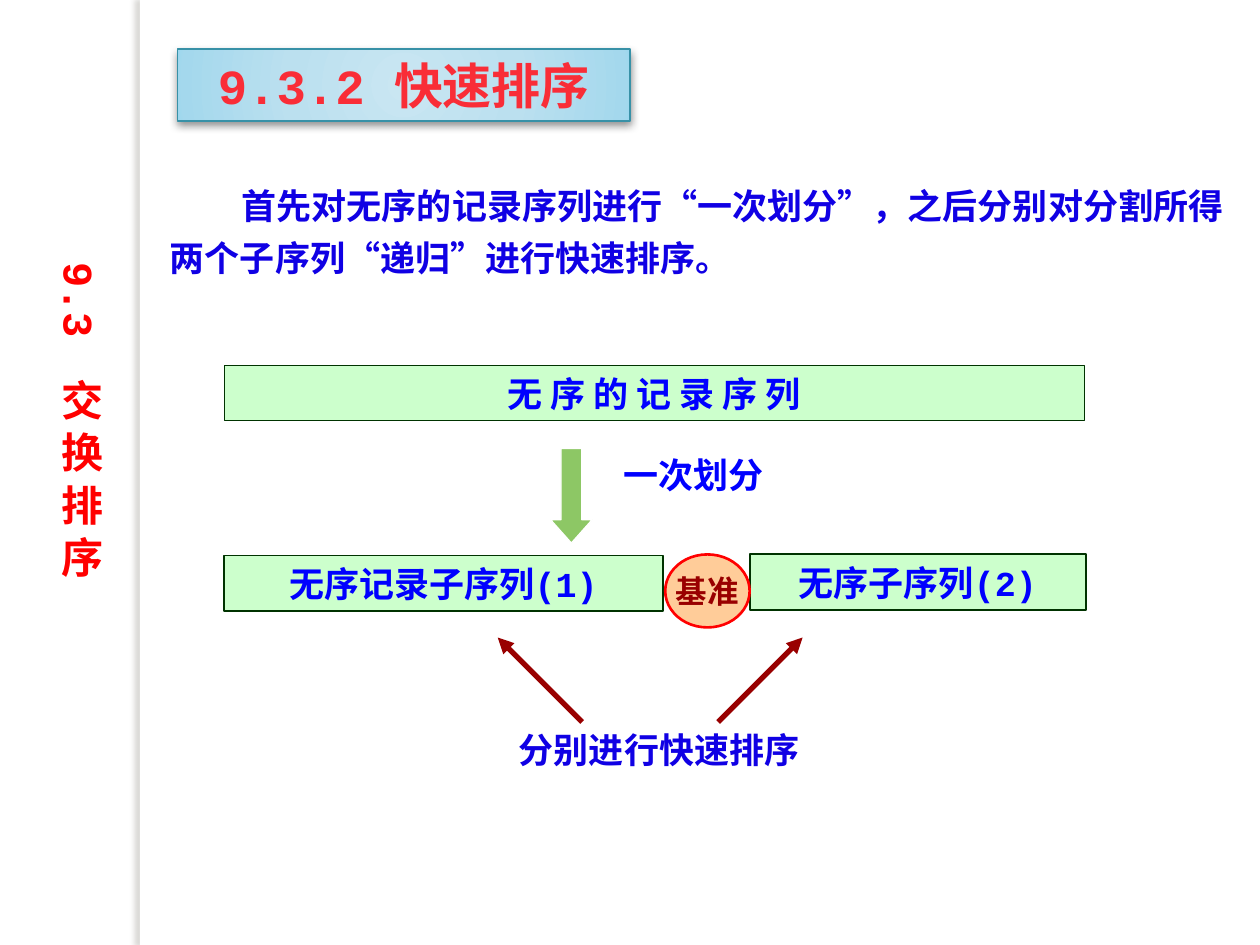
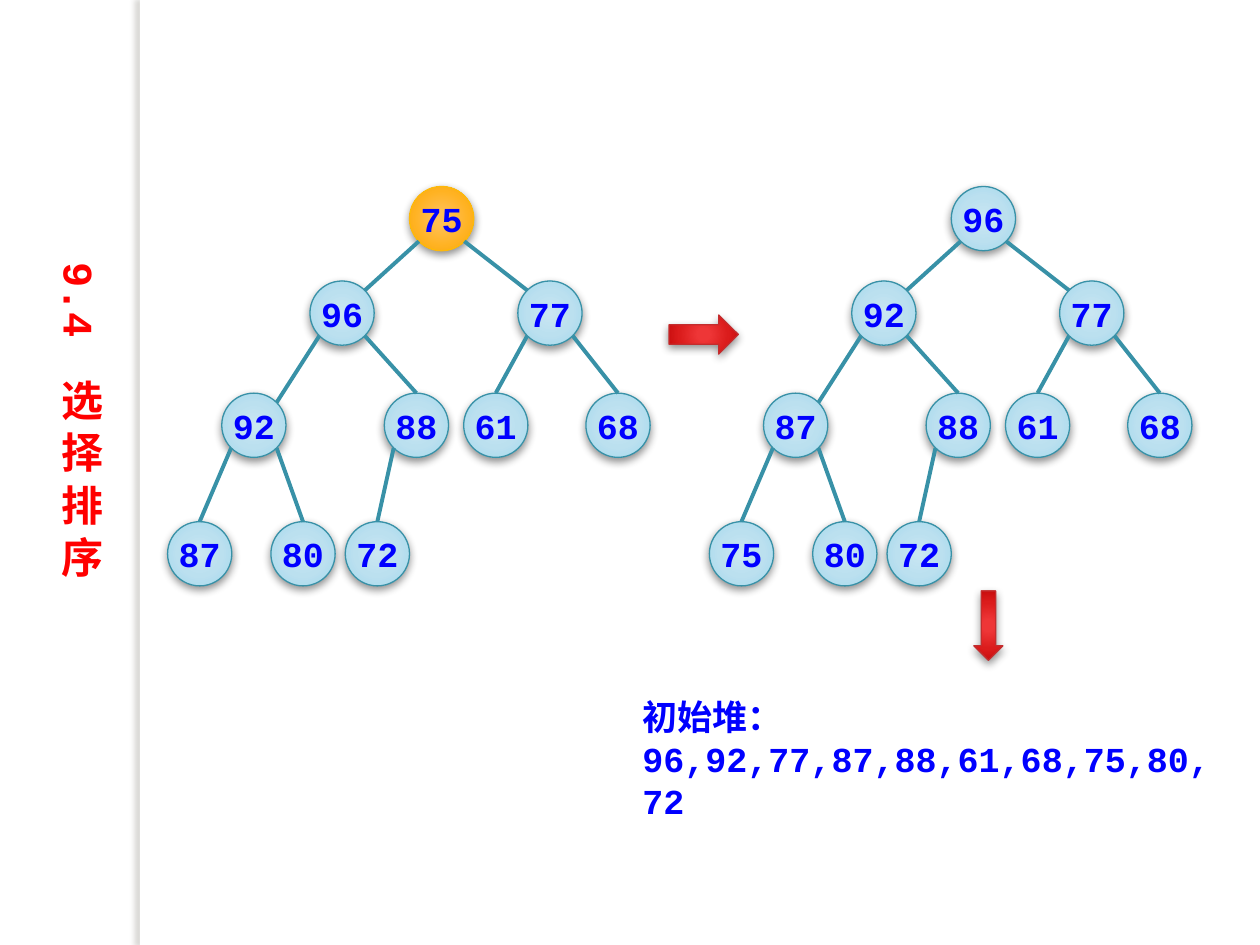
from lxml.etree import SubElement
from pptx import Presentation
from pptx.dml.color import RGBColor
from pptx.enum.shapes import MSO_CONNECTOR as Connector, MSO_SHAPE as Shape
from pptx.enum.text import MSO_ANCHOR as Anchor, MSO_AUTO_SIZE as AutoSize, PP_ALIGN as Align
from pptx.oxml.ns import qn
from pptx.util import Inches, Pt

BLUE, INDIGO, RED, DARK_RED = "0000FF", "1000E4", "FF0000", "990000"
WHITE, MINT, TEAL = "FFFFFF", "CCFFCC", "3891A7"
MONO, SERIF, CJK = "Courier New", "Times New Roman", "Noto Sans CJK SC"
GRADIENTS = {
    "sky": ([(0, "C9E6F2"), (50, "BBE0EF"), (97, "A4D8ED"), (100, "9BD7EE")], TEAL),
    "orange": ([(0, "FFBF54"), (15, "FFBF53"), (62, "FFB221"), (97, "F6A500"), (100, "D69900")], "FEB80A"),
    "red": ([(0, "EF3737"), (15, "EE3637"), (62, "DB1C1C"), (97, "C70C0D"), (100, "C30001")], "C32D2E"),
}

CHAPTERS = ["9.3　交 换 排 序", "9.4　选 择 排 序"]
HEADING = "9.3.2 快速排序"
INTRODUCTION = "首先对无序的记录序列进行“一次划分”，之后分别对分割所得两个子序列“递归”进行快速排序。"
SEQUENCES = [
    ("无 序 的 记 录 序 列", (1.78, 2.9, 6.83, 0.44), 0.75),
    ("无序记录子序列(1)", (1.78, 4.41, 3.48, 0.44), 1),
    ("无序子序列(2)", (5.95, 4.4, 2.67, 0.44), 1),
]
STEP_LABELS = [
    ("一次划分", (4.85, 3.55, 1.33, 0.44), BLUE),
    ("分别进行快速排序", (4.02, 5.73, 2.46, 0.44), INDIGO),
]
RECURSION_ARROWS = [((4.62, 5.73), (3.95, 5.06)), ((5.7, 5.73), (6.37, 5.06))]

TREE_BEFORE = [75, 96, 77, 92, 88, 61, 68, 87, 80, 72]
TREE_AFTER = [96, 92, 77, 87, 88, 61, 68, 75, 80, 72]
NODE_LEFTS = [3.25, 2.46, 4.11, 1.76, 3.05, 3.68, 4.65, 1.33, 2.15, 2.74]
LEVEL_TOPS = [1.48, 2.23, 3.12, 4.14]
NODE_SIZE, TREE_GAP = 0.51, 4.3
DIAGONAL = NODE_SIZE / 2 * 0.707
EDGE_ENDS = {1: (DIAGONAL, -DIAGONAL), 2: (-DIAGONAL, -DIAGONAL), 3: (DIAGONAL, -DIAGONAL)}
HEAP_ARROWS = [(Shape.RIGHT_ARROW, (5.31, 2.5, 0.55, 0.31)), (Shape.DOWN_ARROW, (7.73, 4.69, 0.23, 0.55))]
HEAP_LINES = ["初始堆：", ",".join(map(str, TREE_AFTER))]


def color(value):
    return RGBColor.from_string(value)


def box(place):
    return [Inches(length) for length in place]


def add_figure(shapes, kind, place, fill, line=None, width=0.75):
    shape = shapes.add_shape(kind, *box(place))
    shape.shadow.inherit = False
    shape.fill.solid()
    shape.fill.fore_color.rgb = color(fill)
    if line:
        shape.line.color.rgb = color(line)
        shape.line.width = Pt(width)
    else:
        shape.line.fill.background()
    return shape


def add_color(parent, value, alpha=None):
    node = SubElement(parent, qn("a:srgbClr"), val=value)
    if alpha:
        SubElement(node, qn("a:alpha"), val=str(alpha * 1000))


def add_shadow(shape, value, alpha, blur, distance, angle):
    effects = shape.element.spPr.find(qn("a:effectLst"))
    shadow = SubElement(effects, qn("a:outerShdw"), blurRad=str(Pt(blur)), dist=str(Pt(distance)),
                        dir=str(angle * 60000), algn="ctr", rotWithShape="0")
    add_color(shadow, value, alpha)


def add_glossy(shapes, kind, place, style):
    stops, line = GRADIENTS[style]
    shape = add_figure(shapes, kind, place, WHITE, line)
    shape.fill.gradient()
    gradient = shape.element.spPr.find(qn("a:gradFill"))
    for child in list(gradient):
        gradient.remove(child)
    stop_list = SubElement(gradient, qn("a:gsLst"))
    for position, value in stops:
        add_color(SubElement(stop_list, qn("a:gs"), pos=str(position * 1000)), value)
    circle = SubElement(gradient, qn("a:path"), {"path": "circle"})
    SubElement(circle, qn("a:fillToRect"), l="50000", t="50000", r="50000", b="50000")
    add_shadow(shape, "000000", 43, 5, 2, 90)
    return shape


def write(shape, lines, size=20, fill=BLUE, font=MONO, align=Align.CENTER, anchor=Anchor.MIDDLE, wrap=True):
    frame = shape.text_frame
    frame.word_wrap = wrap
    frame.auto_size = AutoSize.NONE
    frame.vertical_anchor = anchor
    for index, line in enumerate(lines):
        paragraph = frame.add_paragraph() if index else frame.paragraphs[0]
        paragraph.alignment = align
        run = paragraph.add_run()
        run.text = line
        run.font.size, run.font.bold, run.font.name = Pt(size), True, font
        run.font.color.rgb = color(fill)
    for properties in shape.element.iter(qn("a:rPr")):
        SubElement(properties, qn("a:ea"), typeface=CJK)
    return frame


def add_text(slide, lines, place, **style):
    shape = slide.shapes.add_textbox(*box(place))
    return write(shape, lines, align=Align.LEFT, anchor=Anchor.TOP, **style)


def add_line(shapes, start, end, line, width, arrow=False):
    connector = shapes.add_connector(Connector.STRAIGHT, *box(start + end))
    connector.line.color.rgb = color(line)
    connector.line.width = Pt(width)
    if arrow:
        SubElement(connector.line._get_or_add_ln(), qn("a:tailEnd"), type="triangle")
    SubElement(connector.element.spPr, qn("a:effectLst"))


def add_chapter_slide(presentation, chapter):
    slide = presentation.slides.add_slide(presentation.slide_layouts[5])
    band = add_figure(slide.shapes, Shape.RECTANGLE, (1.11, 0, 0.08, 7.5), WHITE)
    add_shadow(band, "736F63", 25, 3, 3, 180)
    title = slide.shapes.title
    title.left, title.top, title.width, title.height = box((0.33, 2.03, 0.61, 3.2))
    write(title, [chapter], 24, RED, anchor=Anchor.TOP)
    title.element.find(".//" + qn("a:bodyPr")).set("vert", "eaVert")
    return slide


def add_tree(slide, values, shift, root_style):
    shapes = slide.shapes.add_group_shape().shapes
    centers = []
    for index, value in enumerate(values):
        left = NODE_LEFTS[index] + shift
        top = LEVEL_TOPS[(index + 1).bit_length() - 1]
        centers.append((left + NODE_SIZE / 2, top + NODE_SIZE / 2))
        style = "sky" if index else root_style
        node = add_glossy(shapes, Shape.OVAL, (left, top, NODE_SIZE, NODE_SIZE), style)
        frame = write(node, [str(value)])
        frame.margin_left = frame.margin_right = 0
    for child in range(1, len(values)):
        parent_x, parent_y = centers[(child - 1) // 2]
        x, y = centers[child]
        side = DIAGONAL if child % 2 == 0 else -DIAGONAL
        end_x, end_y = EDGE_ENDS.get(child, (0, -NODE_SIZE / 2))
        add_line(shapes, (parent_x + side, parent_y + DIAGONAL), (x + end_x, y + end_y), TEAL, 2.25)


def build_quick_sort(presentation):
    slide = add_chapter_slide(presentation, CHAPTERS[0])
    shapes = slide.shapes
    introduction = add_text(slide, [INTRODUCTION], (1.25, 1.33, 8.59, 0.94), fill=INDIGO, font=SERIF)
    paragraph = introduction.paragraphs[0]
    paragraph.line_spacing = 1.25
    paragraph._p.get_or_add_pPr().set("indent", str(Inches(0.57)))
    for text, place, width in SEQUENCES:
        write(add_figure(shapes, Shape.RECTANGLE, place, MINT, "003300", width), [text])
    pivot = add_figure(shapes, Shape.OVAL, (5.28, 4.4, 0.67, 0.58), "FFCC99", RED, 1.5)
    write(pivot, ["基准"], 18, DARK_RED, SERIF, wrap=False)
    partition = add_figure(shapes, Shape.DOWN_ARROW, (4.37, 3.56, 0.33, 0.75), "8DC765", WHITE)
    partition.adjustments[1] = 0.56
    for text, place, fill in STEP_LABELS:
        add_text(slide, [text], place, fill=fill, font=CJK, wrap=False)
    for start, end in RECURSION_ARROWS:
        add_line(shapes, start, end, DARK_RED, 3, arrow=True)
    heading = add_glossy(shapes, Shape.RECTANGLE, (1.41, 0.39, 3.59, 0.57), "sky")
    write(heading, [HEADING], 28, "F92D37")


def build_heap(presentation):
    slide = add_chapter_slide(presentation, CHAPTERS[1])
    add_tree(slide, TREE_BEFORE, 0, "orange")
    add_tree(slide, TREE_AFTER, TREE_GAP, "sky")
    for kind, place in HEAP_ARROWS:
        add_glossy(slide.shapes, kind, place, "red")
    add_text(slide, HEAP_LINES, (5, 5.47, 4.77, 0.77))


def main():
    """Build the quick sort and heap slides."""
    presentation = Presentation()
    presentation.slide_width, presentation.slide_height = Inches(10), Inches(7.5)
    build_quick_sort(presentation)
    build_heap(presentation)
    presentation.save("out.pptx")


if __name__ == "__main__":
    main()
